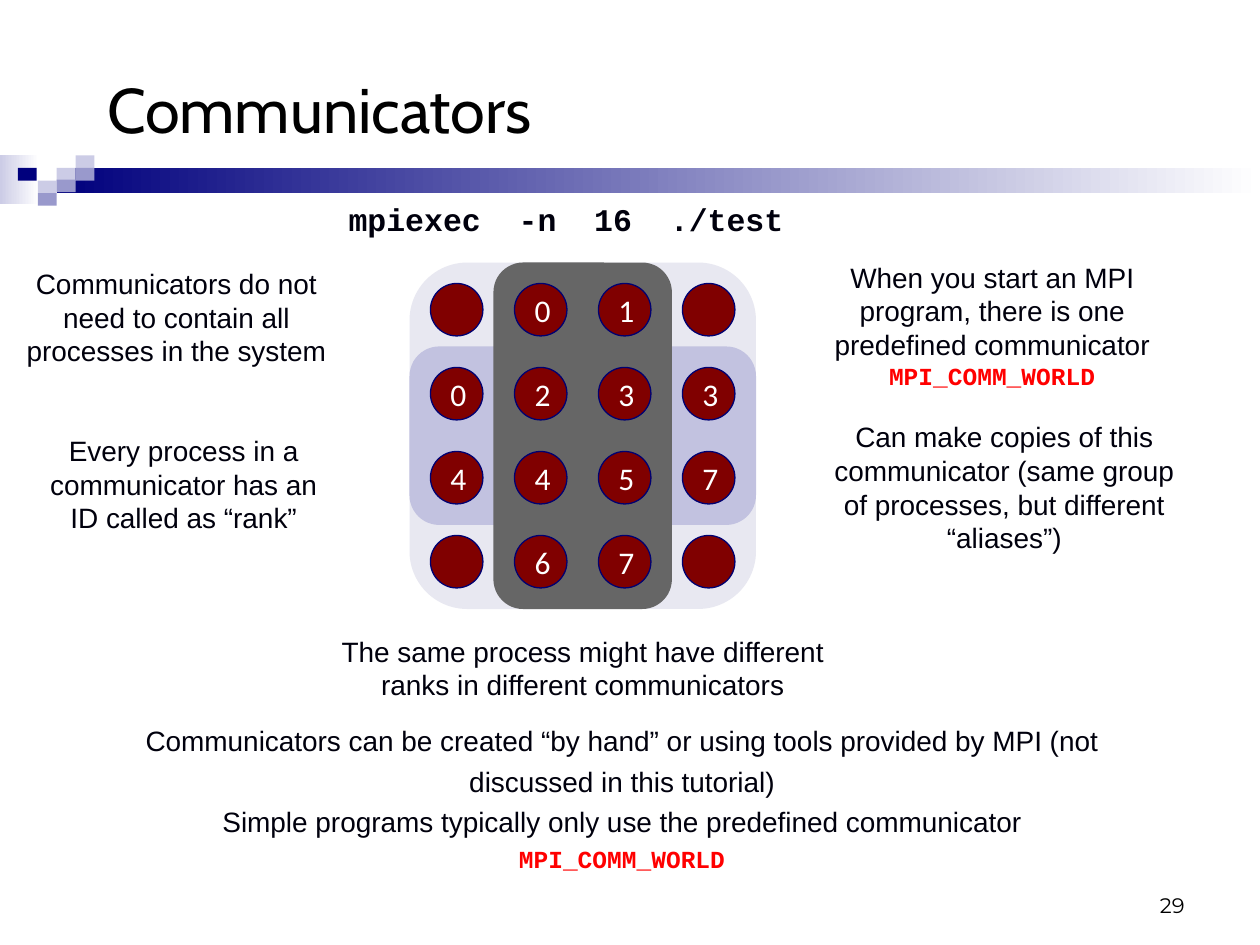
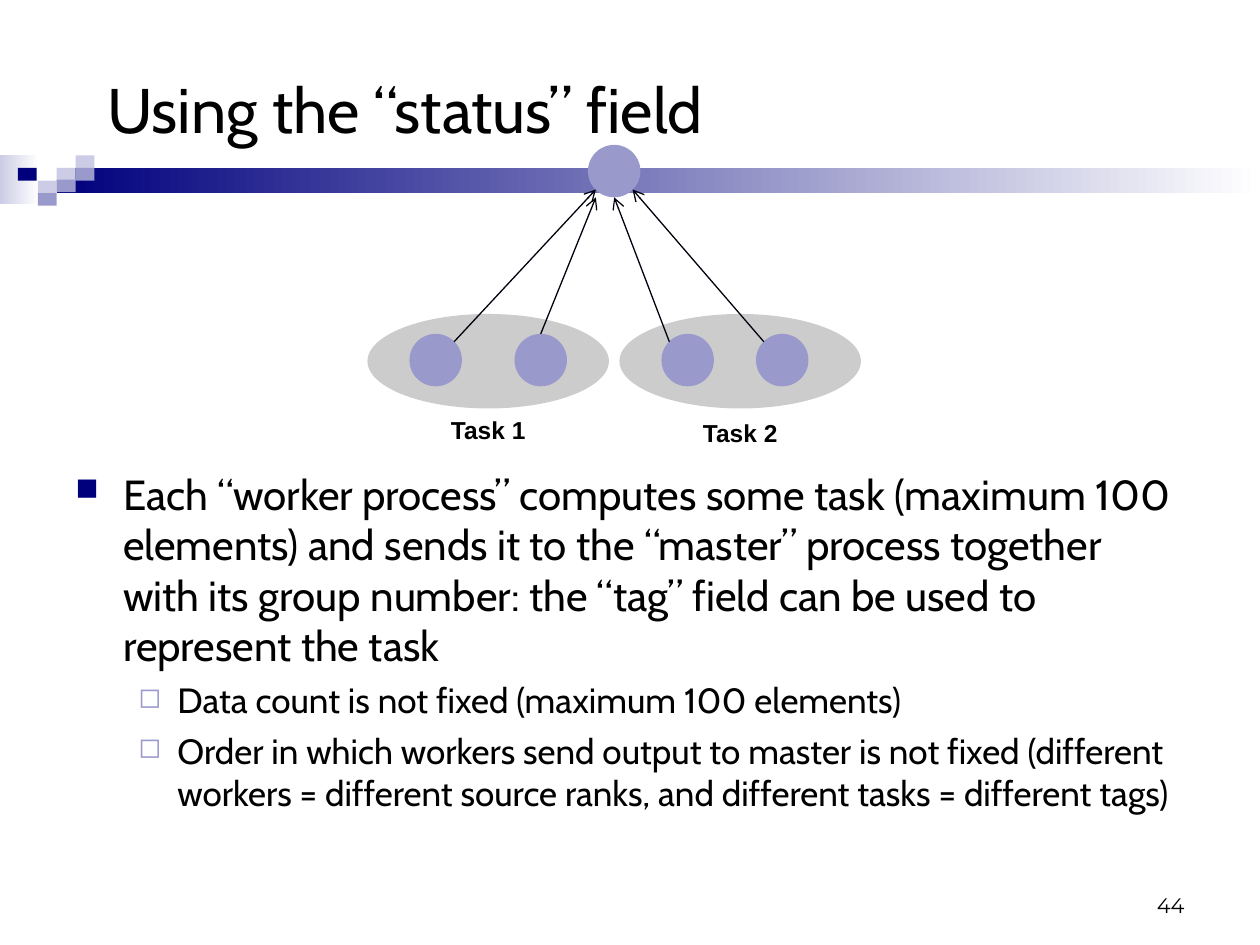
"""Build two slides on message passing: communicators and the status field."""
import collections
import dataclasses

import lxml.etree
import pptx
import pptx.dml.color
import pptx.enum.shapes
import pptx.enum.text
import pptx.oxml.ns
import pptx.util

Style = collections.namedtuple("Style", "font size color bold", defaults=[False])


@dataclasses.dataclass(frozen=True)
class Theme:
    navy: str = "00007D"
    violet: str = "9999CC"
    lilac: str = "CCCCE6"
    white: str = "FFFFFF"
    ink: str = "00000D"
    process: str = "800000"
    process_line: str = "000071"
    world: str = "E8E8F1"
    row_group: str = "C2C2E0"
    column_group: str = "666666"
    task: str = "CCCCCC"
    title: Style = Style("Cabin", 36, "000000")
    body: Style = Style("Cabin", 24, "000000")
    detail: Style = Style("Cabin", 20, "000000")
    number: Style = Style("Montserrat", 12, "000000")
    note: Style = Style("Arial", 16, "00000D")
    code: Style = Style("Courier New", 14, "FF0000", True)
    command: Style = Style("Courier New", 18, "00000D", True)
    rank: Style = Style("Calibri", 18, "FFFFFF")
    label: Style = Style("Arial", 14, "000000", True)


theme = Theme()
rgb = pptx.dml.color.RGBColor.from_string
qn = pptx.oxml.ns.qn
shape_kind = pptx.enum.shapes.MSO_SHAPE
align = pptx.enum.text.PP_ALIGN
anchor = pptx.enum.text.MSO_ANCHOR

deck = pptx.Presentation()
deck.slide_width = pptx.util.Inches(10)
deck.slide_height = pptx.util.Inches(7.5)
cell = deck.slide_width / 120


def place(page, cells, fill=None, kind=shape_kind.RECTANGLE, outline=None):
    """Add a shape, or a text box when there is no fill, at grid cells."""
    area = [round(length * cell) for length in cells]
    if fill is None:
        box = page.shapes.add_textbox(*area)
        box.text_frame.word_wrap = True
        return box
    box = page.shapes.add_shape(kind, *area)
    box.shadow.inherit = False
    box.fill.solid()
    box.fill.fore_color.rgb = rgb(fill)
    if outline:
        box.line.color.rgb = rgb(outline)
        box.line.width = pptx.util.Pt(0.75)
    else:
        box.line.fill.background()
    return box


def write(box, paragraphs, alignment=align.CENTER, line_spacing=None):
    """Fill a box with paragraphs of (text, style) spans."""
    frame = box.text_frame
    for index, spans in enumerate(paragraphs):
        para = frame.add_paragraph() if index else frame.paragraphs[0]
        para.alignment = alignment
        if line_spacing:
            para.line_spacing = line_spacing
        main = spans[0][1]
        fonts = [(para.font, main)]
        for text, style in spans:
            span = para.add_run()
            span.text = text
            if style != main:
                fonts.append((span.font, style))
        for font, style in fonts:
            font.name, font.bold = style.font, style.bold
            font.size = pptx.util.Pt(style.size)
            font.color.rgb = rgb(style.color)


band_bars = [((0, 14.8, 3.7, 4.6), theme.lilac), ((5.4, 16, 114.6, 2.4), theme.navy)]
band_tiles = [
    (5.4, 16, theme.lilac), (7.2, 14.8, theme.lilac), (7.2, 16, theme.violet),
    (3.6, 17.2, theme.lilac), (1.7, 16, theme.navy), (5.4, 17.1, theme.violet),
    (3.6, 18.4, theme.violet),
]

pages = []
for title_text, number in [("Communicators", "29"), ("Using the “status” field", "44")]:
    page = deck.slides.add_slide(deck.slide_layouts[5])
    pages.append(page)
    for cells, color in band_bars:
        bar = place(page, cells, color)
        bar.fill.gradient()
        bar.fill.gradient_angle = 180
        for stop, stop_color in zip(bar.fill.gradient_stops, (theme.white, color)):
            stop.color.rgb = rgb(stop_color)
    for left, top, color in band_tiles:
        place(page, (left, top, 1.8, 1.2), color)
    title = page.shapes.title
    title.left, title.top, title.width, title.height = (
        round(length * cell) for length in (9, 5, 101, 10.7))
    title.text_frame.auto_size = pptx.enum.text.MSO_AUTO_SIZE.NONE
    title.text_frame.vertical_anchor = anchor.MIDDLE
    write(title, [[(title_text, theme.title)]], align.LEFT)
    number_box = place(page, (86, 82, 28, 6))
    number_box.text_frame.vertical_anchor = anchor.BOTTOM
    write(number_box, [[(number, theme.number)]], align.RIGHT)

communicators, status = pages

for cells, color in [
    ((39, 25, 33, 33), theme.world),
    ((39, 33, 33, 17), theme.row_group),
    ((47, 25, 17, 33), theme.column_group),
]:
    place(communicators, cells, color, shape_kind.ROUNDED_RECTANGLE)

for row, ranks in enumerate([" 01 ", "0233", "4457", " 67 "]):
    for column, rank in enumerate(ranks):
        process = place(communicators, (41 + 8 * column, 27 + 8 * row, 5, 5),
                        theme.process, shape_kind.OVAL, theme.process_line)
        if rank.strip():
            process.text_frame.vertical_anchor = anchor.MIDDLE
            write(process, [[(rank, theme.rank)]])

world_name = ("MPI_COMM_WORLD", theme.code)
for cells, spans in [
    ((78, 24.2, 33, 13.7),
     [("When you start an MPI program, there is one predefined communicator ", theme.note),
      world_name]),
    ((77, 39.4, 37.3, 14),
     [("Can make copies of this communicator (same group of processes, "
       "but different “aliases”)", theme.note)]),
    ((1.3, 24.8, 31, 10.8),
     [("Communicators do not need to contain all processes in the system", theme.note)]),
    ((2, 40.7, 31, 10.8),
     [("Every process in a communicator has an ID called as “rank”", theme.note)]),
    ((31, 59.8, 49, 7.7),
     [("The same process might have different ranks in different communicators",
       theme.note)]),
    ((29.4, 18.5, 49, 4.8), [("mpiexec  -n  16  ./test", theme.command)]),
]:
    write(place(communicators, cells), [spans])

write(place(communicators, (10, 67.7, 98.5, 16)), [
    [("Communicators can be created “by hand” or using tools provided by MPI "
      "(not discussed in this tutorial)", theme.note)],
    [("Simple programs typically only use the predefined communicator ", theme.note),
     world_name],
], line_spacing=1.2)

for task, (left, label_top) in enumerate([(35, 38.9), (59, 39.2)], start=1):
    place(status, (left, 29.9, 23, 9), theme.task, shape_kind.OVAL)
    write(place(status, (left + 3, label_top, 17, 4)), [[(f"Task {task}", theme.label)]])

circle = 5
worker_top = 31.8
master_left, master_top = 56, 13.8
place(status, (master_left, master_top, circle, circle), theme.violet, shape_kind.OVAL)

for worker_left, (start_x, start_y), (end_x, end_y) in [
    (39, (0.85, 0.15), (0.15, 0.85)),
    (49, (0.5, 0), (0.15, 1)),
    (63, (0.15, 0.15), (0.5, 1)),
    (72, (0.15, 0.15), (0.85, 0.85)),
]:
    place(status, (worker_left, worker_top, circle, circle), theme.violet, shape_kind.OVAL)
    ends = (worker_left + circle * start_x, worker_top + circle * start_y,
            master_left + circle * end_x, master_top + circle * end_y)
    arrow = status.shapes.add_connector(
        pptx.enum.shapes.MSO_CONNECTOR.STRAIGHT, *(round(end * cell) for end in ends))
    arrow.line.color.rgb = rgb(theme.ink)
    arrow.line.width = pptx.util.Pt(0.75)
    properties = arrow._element.spPr
    lxml.etree.SubElement(properties.find(qn("a:ln")), qn("a:tailEnd"), type="arrow")
    lxml.etree.SubElement(properties, qn("a:effectLst"))

body = place(status, (6, 44, 108, 39))
write(body, [
    [("Each “worker process” computes some task (maximum 100 elements) and sends it to "
      "the “master” process together with its group number: the “tag” field can be used "
      "to represent the task", theme.body)],
    [("Data count is not fixed (maximum 100 elements)", theme.detail)],
    [("Order in which workers send output to master is not fixed (different workers = "
      "different source ranks, and different tasks = different tags)", theme.detail)],
], align.LEFT)

main_bullet = (0, 6, 0.38, 0.38, "■", theme.navy, 75)
detail_bullet = (1, 5, 0.81, 0.31, "◻", theme.violet, 80)
for para, bullet in zip(body.text_frame.paragraphs,
                        [main_bullet, detail_bullet, detail_bullet]):
    para.level, space, margin, hanging, symbol, color, percent = bullet
    para.space_before = pptx.util.Pt(space)
    properties = para._p.get_or_add_pPr()
    properties.set("marL", str(pptx.util.Inches(margin)))
    properties.set("indent", str(-pptx.util.Inches(hanging)))
    bullet_color = lxml.etree.Element(qn("a:buClr"))
    lxml.etree.SubElement(bullet_color, qn("a:srgbClr"), val=color)
    bullet_size = lxml.etree.Element(qn("a:buSzPct"), val=str(percent * 1000))
    bullet_symbol = lxml.etree.Element(qn("a:buChar"), char=symbol)
    for part in (bullet_color, bullet_size, bullet_symbol):
        properties.find(qn("a:defRPr")).addprevious(part)

deck.save("out.pptx")
